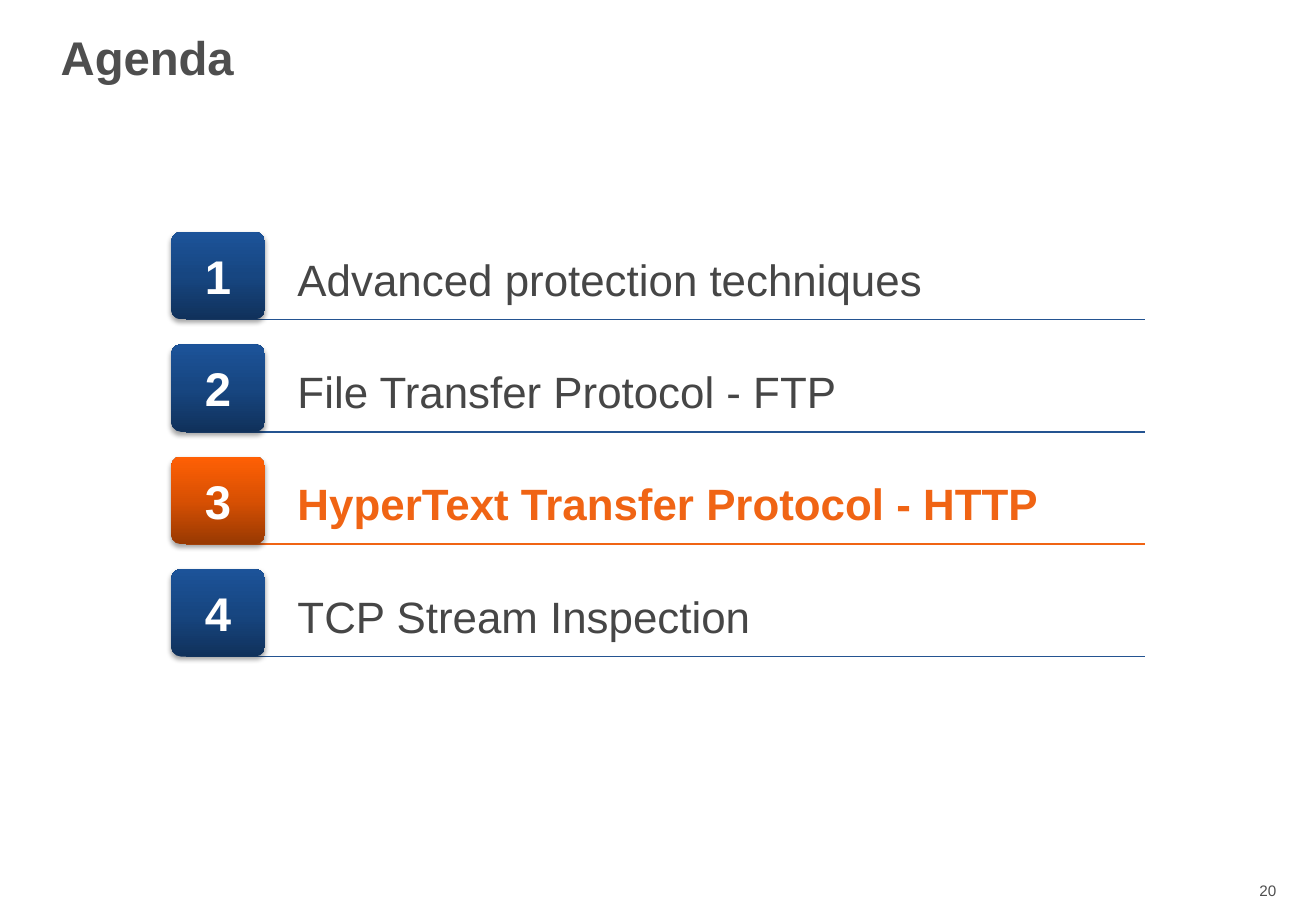
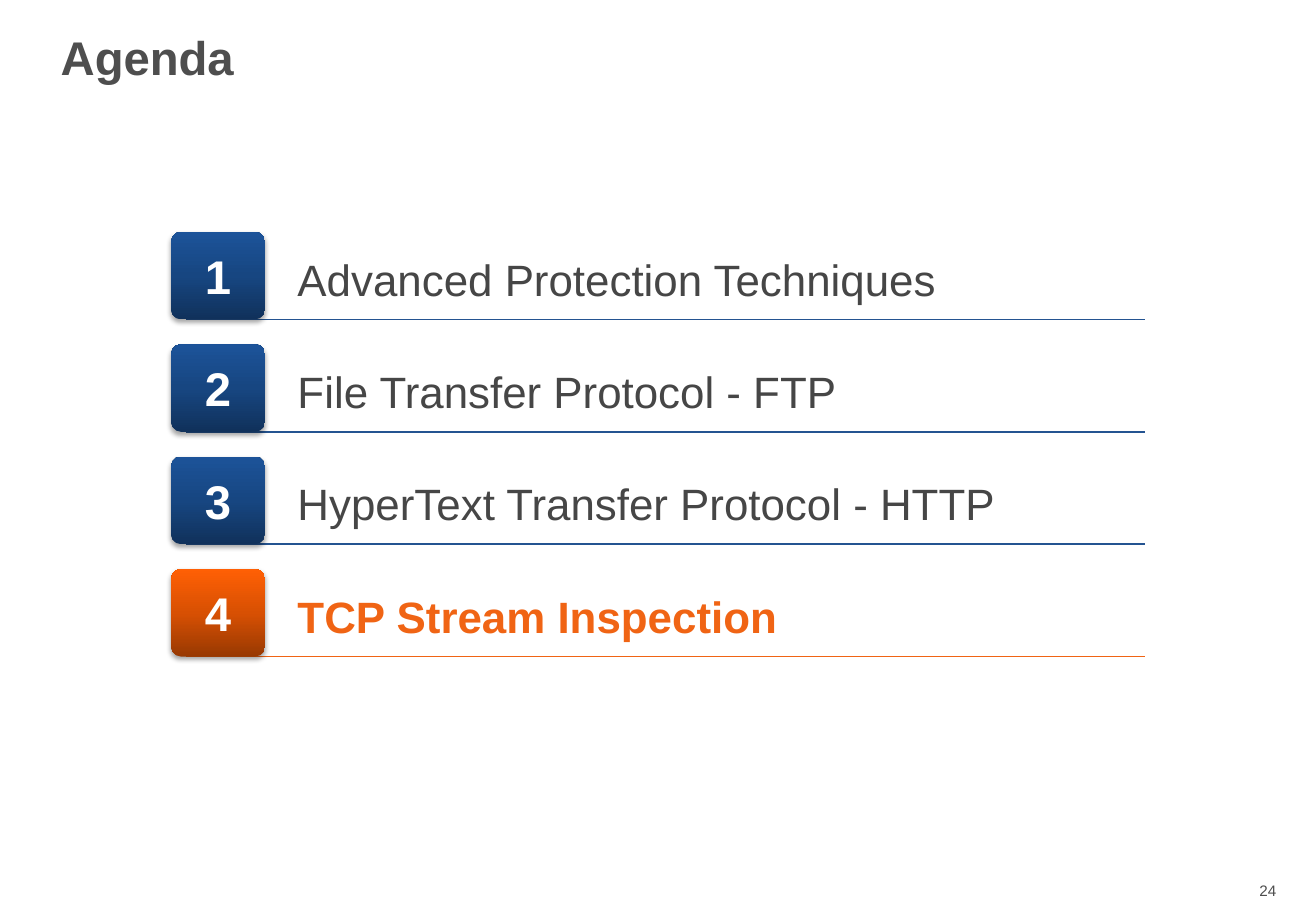
from copy import deepcopy

from lxml import etree
from pptx import Presentation
from pptx.dml.color import RGBColor
from pptx.enum.shapes import MSO_CONNECTOR, MSO_SHAPE
from pptx.enum.text import MSO_ANCHOR, PP_ALIGN
from pptx.oxml.ns import qn
from pptx.util import Cm, Pt

ROUNDED = MSO_SHAPE.ROUNDED_RECTANGLE
STRAIGHT = MSO_CONNECTOR.STRAIGHT
TOP, MIDDLE = MSO_ANCHOR.TOP, MSO_ANCHOR.MIDDLE
LEFT, CENTER, RIGHT = PP_ALIGN.LEFT, PP_ALIGN.CENTER, PP_ALIGN.RIGHT

# Shared look
FONT = "Arial"
GREY, TOPIC_GREY, WHITE = "4E4E4E", "464646", "FFFFFF"
BLUE, ORANGE = "245491", "F06414"
BLUE_FADE = ("10315B", "174681", "1C5399")
ORANGE_FADE = ("983902", "D85003", "FF6005")

# Agenda rows, in cm
FIRST_TOP, ROW_STEP = 4.85, 2.35
BADGE_LEFT, BADGE_WIDTH, BADGE_HEIGHT = 3.58, 1.96, 1.83
RULE_START, RULE_END = 3.89, 23.93

# Page number, current topic, topics
AGENDAS = [
    ("20", 3, ["Advanced protection techniques", "File Transfer Protocol - FTP",
               "HyperText Transfer Protocol - HTTP", "TCP Stream Inspection"]),
    ("24", 4, ["Advanced Protection Techniques", "File Transfer Protocol - FTP",
               "HyperText Transfer Protocol - HTTP", "TCP Stream Inspection"]),
]


def rgb(value):
    return RGBColor.from_string(value)


def write(shape, text, size, color, bold=False, align=LEFT, anchor=TOP, spacing=None):
    frame = shape.text_frame
    frame.word_wrap = True
    frame.vertical_anchor = anchor
    paragraph = frame.paragraphs[0]
    paragraph.alignment = align
    paragraph.line_spacing = spacing
    run = paragraph.add_run()
    run.text = text
    run.font.name = FONT
    run.font.size = Pt(size)
    run.font.bold = bold
    run.font.color.rgb = rgb(color)


prs = Presentation()
prs.slide_width, prs.slide_height = Cm(27.51), Cm(19.05)

for page, current, topics in AGENDAS:
    slide = prs.slides.add_slide(prs.slide_layouts[6])
    shapes = slide.shapes

    # Page number and title
    page_number = shapes.add_textbox(Cm(25.1), Cm(18.31), Cm(1.83), Cm(0.64))
    write(page_number, page, 9, GREY, align=RIGHT)
    title = shapes.add_textbox(Cm(1.02), Cm(0), Cm(20.62), Cm(2.54))
    write(title, "Agenda", 28, GREY, bold=True, anchor=MIDDLE, spacing=0.85)

    for number, topic in enumerate(topics, 1):
        active = number == current
        top = FIRST_TOP + (number - 1) * ROW_STEP
        bottom = top + BADGE_HEIGHT

        # Rule under the row
        rule = shapes.add_connector(STRAIGHT, Cm(RULE_START), Cm(bottom), Cm(RULE_END), Cm(bottom))
        rule.line.color.rgb = rgb(ORANGE if active else BLUE)
        rule.line.width = Pt(1)
        etree.SubElement(rule._element.spPr, qn("a:effectLst"))

        # Number badge
        badge = shapes.add_shape(ROUNDED, Cm(BADGE_LEFT), Cm(top), Cm(BADGE_WIDTH), Cm(BADGE_HEIGHT))
        badge.adjustments[0] = 0.11
        badge.line.fill.background()

        # Three-stop fade, dark at the bottom
        badge.fill.gradient()
        badge.fill.gradient_angle = 90
        stop_list = badge._element.spPr.find(".//" + qn("a:gsLst"))
        stop_list.append(deepcopy(stop_list[0]))
        fade = ORANGE_FADE if active else BLUE_FADE
        for stop, position, color in zip(badge.fill.gradient_stops, (0, 0.5, 1), fade):
            stop.position = position
            stop.color.rgb = rgb(color)

        # Soft shadow below the badge
        badge.shadow.inherit = False
        effects = badge._element.spPr.find(qn("a:effectLst"))
        shadow = etree.SubElement(effects, qn("a:outerShdw"), blurRad=str(Pt(3.1)),
                                  dist=str(Pt(1.8)), dir="5400000", rotWithShape="0")
        black = etree.SubElement(shadow, qn("a:srgbClr"), val="000000")
        etree.SubElement(black, qn("a:alpha"), val="35000")

        write(badge, str(number), 28, WHITE, bold=True, align=CENTER, anchor=MIDDLE)

        # Topic
        label = shapes.add_textbox(Cm(5.97), Cm(top + 0.3), Cm(18.14), Cm(1.37))
        write(label, topic, 26, ORANGE if active else TOPIC_GREY, bold=active)

prs.save("out.pptx")
